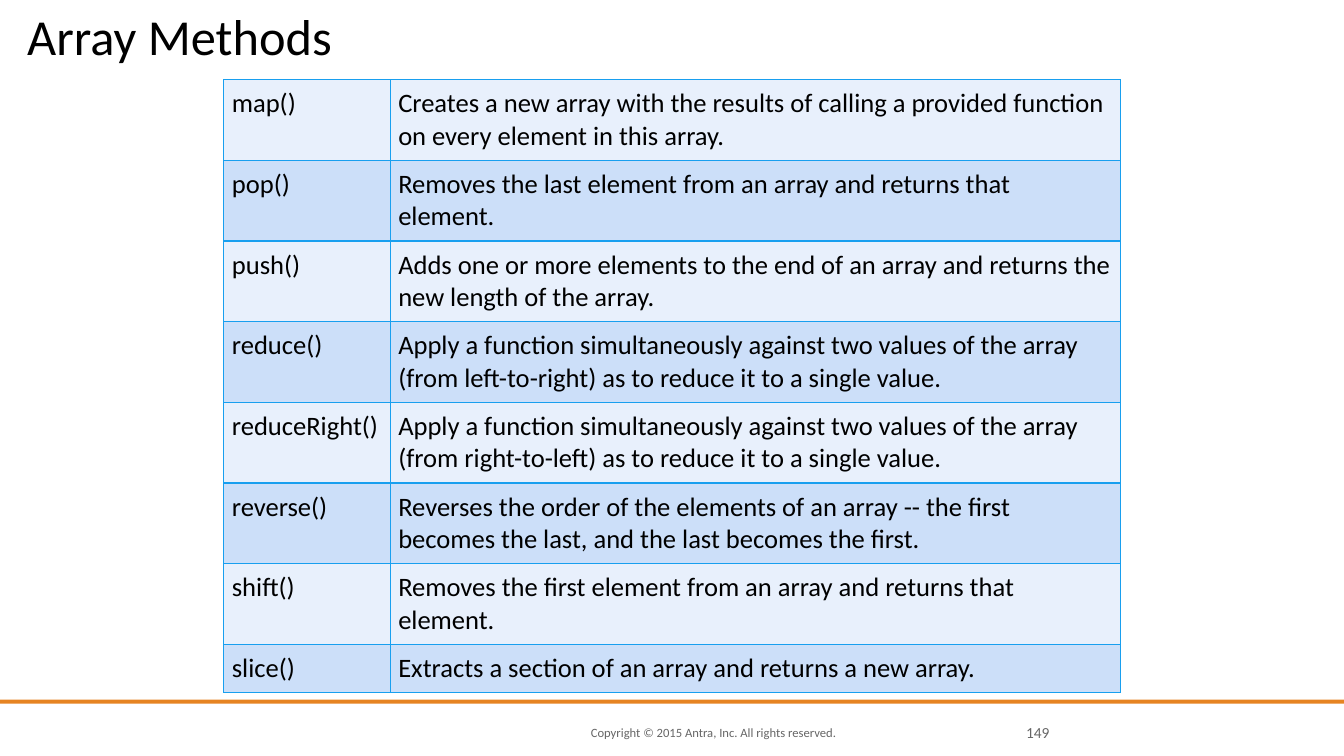
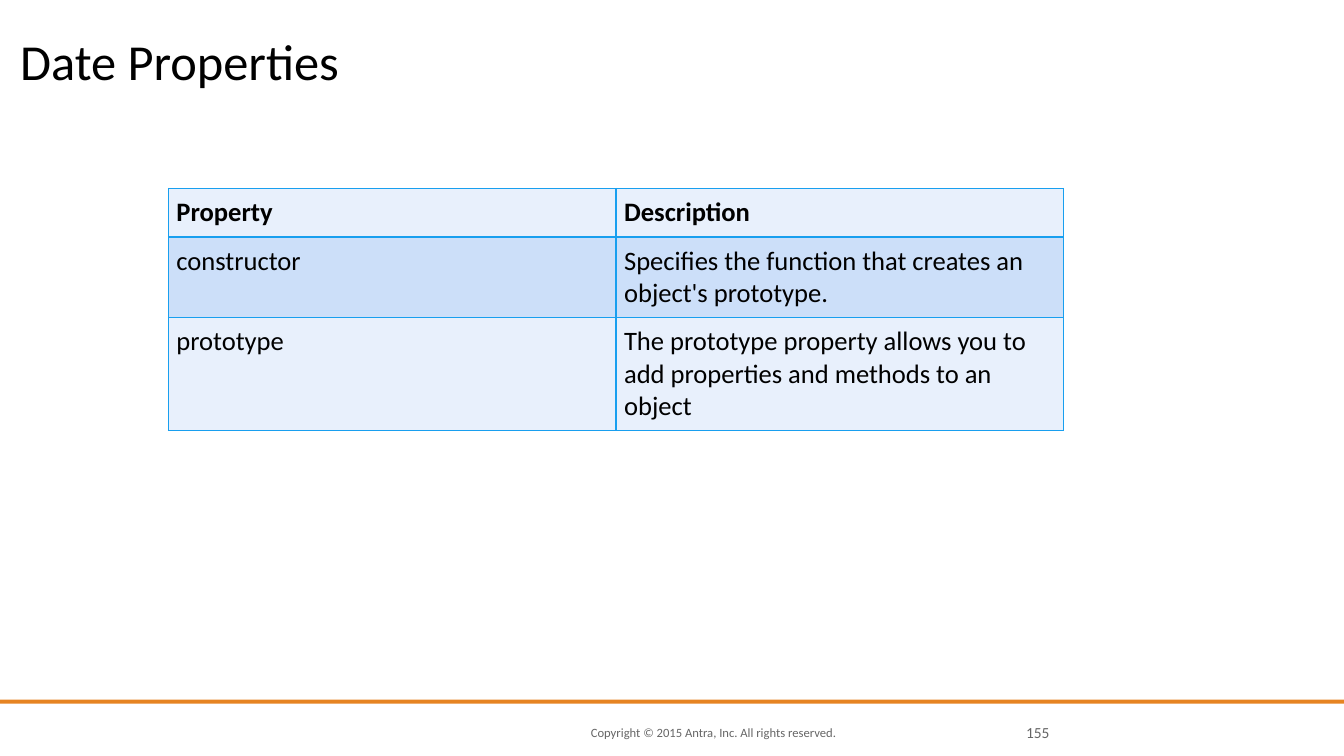
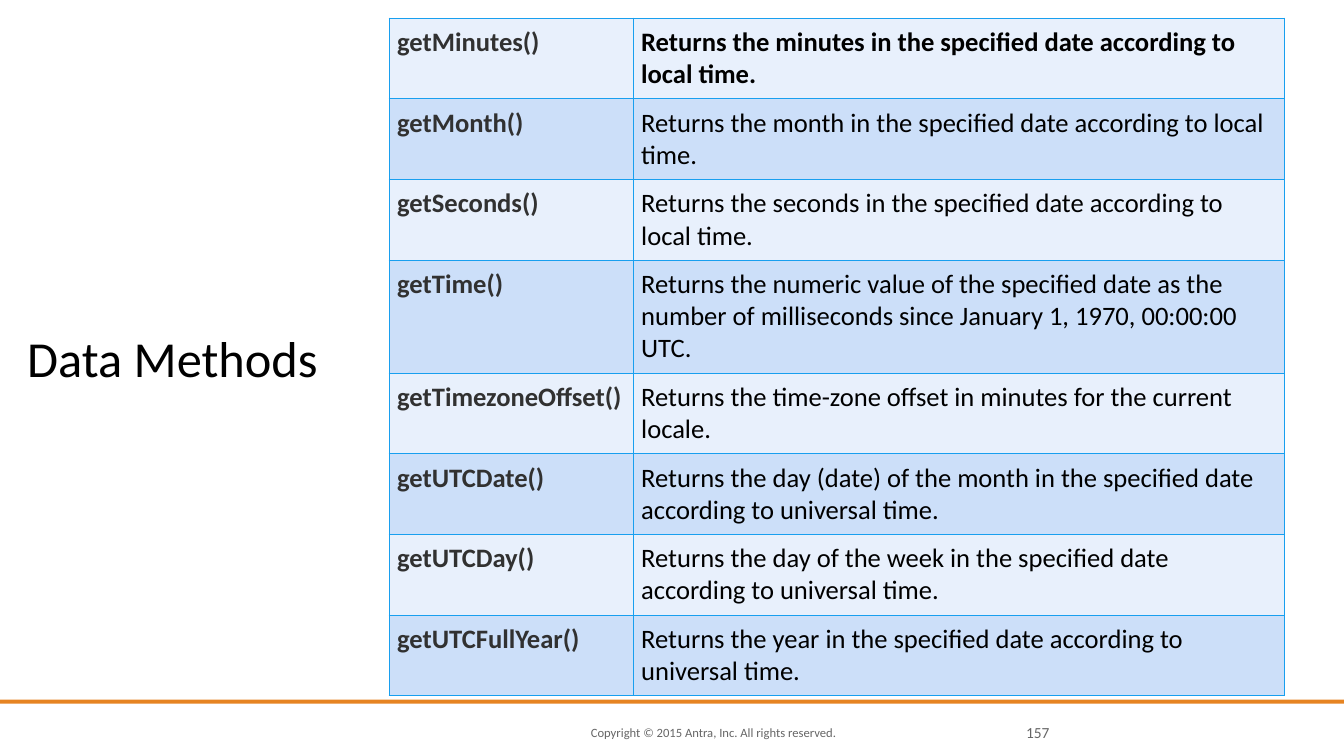
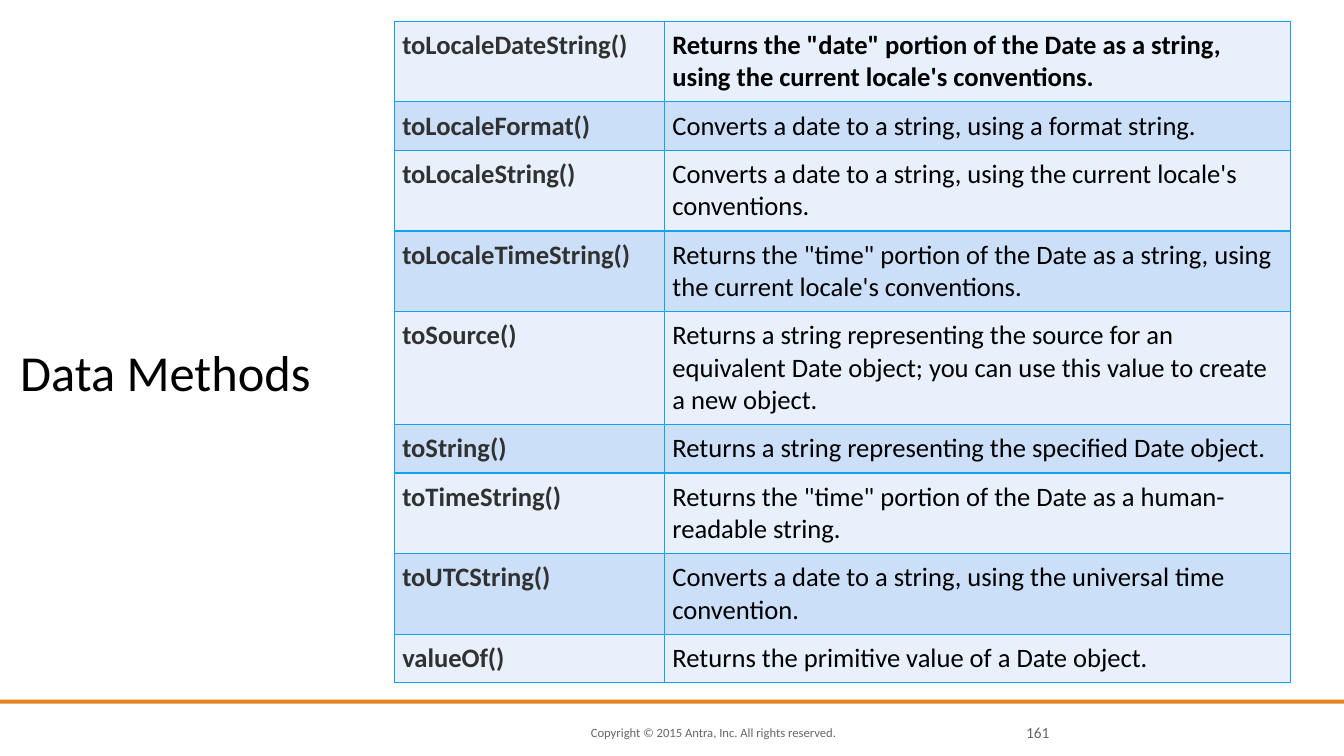
"""Build four JavaScript reference slides with method and property tables."""
from dataclasses import dataclass

from lxml.etree import SubElement
from pptx import Presentation
from pptx.dml.color import RGBColor
from pptx.enum.shapes import MSO_SHAPE
from pptx.enum.text import MSO_ANCHOR, MSO_AUTO_SIZE, PP_ALIGN
from pptx.oxml.ns import qn
from pptx.slide import Slide
from pptx.table import _Cell
from pptx.text.text import TextFrame
from pptx.util import Inches, Pt


@dataclass(frozen=True)
class Theme:
    """Colours, type sizes and measures shared by all slides."""
    font: str = "Calibri"
    text: str = "000000"
    label: str = "313131"
    muted: str = "666666"
    band: str = "E68422"
    border: str = "189FEF"
    row_fills: tuple[str, str] = ("E8F0FC", "CCDFF9")
    title_size: float = 36
    table_size: float = 19
    footer_size: float = 9
    number_size: float = 11
    cell_margin: float = 0.08
    row_height: float = 0.41


@dataclass(frozen=True)
class Box:
    """A rectangle in inches."""
    left: float
    top: float
    width: float
    height: float

    def lengths(self) -> tuple[Inches, Inches, Inches, Inches]:
        """Return the four lengths in the order shapes expect."""
        return (Inches(self.left), Inches(self.top),
                Inches(self.width), Inches(self.height))


@dataclass(frozen=True)
class TextStyle:
    """How one line of text looks."""
    size: float
    color: str
    bold: bool = False
    alignment: PP_ALIGN = PP_ALIGN.LEFT


@dataclass(frozen=True)
class ReferenceSlide:
    """One slide: a title and a two-column table."""
    title: str
    title_box: Box
    number: int
    left: float
    top: float
    columns: tuple[float, float]
    rows: tuple[tuple[str, str], ...]
    has_heading: bool = False
    strong_names: bool = False


THEME = Theme()
BAND_BOX = Box(0, 6.94, 13.36, 0.04)
COPYRIGHT_BOX = Box(5.86, 7.17, 3.05, 0.2)
NUMBER_BOX = Box(9.99, 7.17, 0.42, 0.2)
COPYRIGHT = "Copyright © 2015 Antra, Inc. All rights reserved."

SLIDES = (
    ReferenceSlide(
        "Array Methods", Box(0.27, 0.02, 12.17, 0.63), 149, 2.22, 0.79, (1.65, 7.24),
        (
            ("map()", "Creates a new array with the results of calling a provided "
                      "function on every element in this array."),
            ("pop()", "Removes the last element from an array and returns that element."),
            ("push()", "Adds one or more elements to the end of an array and returns "
                       "the new length of the array."),
            ("reduce()", "Apply a function simultaneously against two values of the "
                         "array (from left-to-right) as to reduce it to a single value."),
            ("reduceRight()", "Apply a function simultaneously against two values of the "
                              "array (from right-to-left) as to reduce it to a single value."),
            ("reverse()", "Reverses the order of the elements of an array -- the first "
                          "becomes the last, and the last becomes the first."),
            ("shift()", "Removes the first element from an array and returns that element."),
            ("slice()", "Extracts a section of an array and returns a new array."),
        ),
    ),
    ReferenceSlide(
        "Date Properties", Box(0.2, 0.23, 12.17, 0.67), 155, 1.67, 1.87, (4.44, 4.44),
        (
            ("Property", "Description"),
            ("constructor", "Specifies the function that creates an object's prototype."),
            ("prototype", "The prototype property allows you to add properties and "
                          "methods to an object"),
        ),
        has_heading=True,
    ),
    ReferenceSlide(
        "Data Methods", Box(0.27, 3.24, 12.17, 0.6), 157, 3.86, 0.18, (2.42, 6.46),
        (
            ("getMinutes()", "Returns the minutes in the specified date according to "
                             "local time."),
            ("getMonth()", "Returns the month in the specified date according to local time."),
            ("getSeconds()", "Returns the seconds in the specified date according to "
                             "local time."),
            ("getTime()", "Returns the numeric value of the specified date as the number "
                          "of milliseconds since January 1, 1970, 00:00:00 UTC."),
            ("getTimezoneOffset()", "Returns the time-zone offset in minutes for the "
                                    "current locale."),
            ("getUTCDate()", "Returns the day (date) of the month in the specified date "
                             "according to universal time."),
            ("getUTCDay()", "Returns the day of the week in the specified date according "
                            "to universal time."),
            ("getUTCFullYear()", "Returns the year in the specified date according to "
                                 "universal time."),
        ),
        strong_names=True,
    ),
    ReferenceSlide(
        "Data Methods", Box(0.2, 3.01, 12.17, 0.97), 161, 3.91, 0.21, (2.68, 6.21),
        (
            ("toLocaleDateString()", "Returns the \"date\" portion of the Date as a "
                                     "string, using the current locale's conventions."),
            ("toLocaleFormat()", "Converts a date to a string, using a format string."),
            ("toLocaleString()", "Converts a date to a string, using the current "
                                 "locale's conventions."),
            ("toLocaleTimeString()", "Returns the \"time\" portion of the Date as a "
                                     "string, using the current locale's conventions."),
            ("toSource()", "Returns a string representing the source for an equivalent "
                           "Date object; you can use this value to create a new object."),
            ("toString()", "Returns a string representing the specified Date object."),
            ("toTimeString()", "Returns the \"time\" portion of the Date as a "
                               "human-readable string."),
            ("toUTCString()", "Converts a date to a string, using the universal time "
                              "convention."),
            ("valueOf()", "Returns the primitive value of a Date object."),
        ),
        strong_names=True,
    ),
)


def write_text(frame: TextFrame, text: str, style: TextStyle) -> None:
    """Fill a text frame with one styled paragraph."""
    frame.text = text
    paragraph = frame.paragraphs[0]
    paragraph.alignment = style.alignment
    paragraph.font.name = THEME.font
    paragraph.font.size = Pt(style.size)
    paragraph.font.bold = style.bold
    paragraph.font.color.rgb = RGBColor.from_string(style.color)


def set_frame(frame: TextFrame, anchor: MSO_ANCHOR) -> None:
    """Remove the margins of a text frame and anchor its text."""
    frame.margin_left = frame.margin_top = frame.margin_right = frame.margin_bottom = 0
    frame.word_wrap = True
    frame.auto_size = MSO_AUTO_SIZE.NONE
    frame.vertical_anchor = anchor


def set_title(slide: Slide, text: str, box: Box) -> None:
    """Place and format the title placeholder."""
    title = slide.shapes.title
    title.left, title.top, title.width, title.height = box.lengths()
    set_frame(title.text_frame, MSO_ANCHOR.BOTTOM)
    write_text(title.text_frame, text, TextStyle(THEME.title_size, THEME.text))
    title.text_frame.paragraphs[0].line_spacing = 0.8


def add_label(slide: Slide, text: str, box: Box, style: TextStyle) -> None:
    """Add a small text box to the footer."""
    frame = slide.shapes.add_textbox(*box.lengths()).text_frame
    set_frame(frame, MSO_ANCHOR.MIDDLE)
    write_text(frame, text, style)


def add_footer(slide: Slide, number: int) -> None:
    """Draw the orange band, the copyright line and the slide number."""
    band = slide.shapes.add_shape(MSO_SHAPE.RECTANGLE, *BAND_BOX.lengths())
    band.shadow.inherit = False
    band.fill.solid()
    band.fill.fore_color.rgb = RGBColor.from_string(THEME.band)
    band.line.fill.background()
    add_label(slide, COPYRIGHT, COPYRIGHT_BOX, TextStyle(THEME.footer_size, THEME.muted))
    add_label(slide, str(number), NUMBER_BOX,
              TextStyle(THEME.number_size, THEME.muted, alignment=PP_ALIGN.RIGHT))


def format_cell(cell: _Cell, fill: str) -> None:
    """Set the margins, borders and fill of a table cell."""
    margin = Inches(THEME.cell_margin)
    cell.margin_left = cell.margin_top = cell.margin_right = cell.margin_bottom = margin
    properties = cell._tc.get_or_add_tcPr()
    for side in ("a:lnL", "a:lnR", "a:lnT", "a:lnB"):
        line = SubElement(properties, qn(side), w=str(Pt(1)))
        SubElement(SubElement(line, qn("a:solidFill")), qn("a:srgbClr"), val=THEME.border)
    cell.fill.solid()
    cell.fill.fore_color.rgb = RGBColor.from_string(fill)


def cell_style(content: ReferenceSlide, row: int, column: int) -> TextStyle:
    """Choose the text style for a table position."""
    is_name = column == 0
    is_heading = content.has_heading and row == 0
    strong_name = content.strong_names and is_name
    strong_row = row == 0 and (content.has_heading or content.strong_names)
    return TextStyle(
        THEME.table_size,
        THEME.label if strong_name else THEME.text,
        strong_name or strong_row,
        PP_ALIGN.JUSTIFY if is_name and not is_heading else PP_ALIGN.LEFT,
    )


def add_reference_table(slide: Slide, content: ReferenceSlide) -> None:
    """Add the two-column table with alternating row fills."""
    box = Box(content.left, content.top, sum(content.columns),
              THEME.row_height * len(content.rows))
    table = slide.shapes.add_table(len(content.rows), len(content.columns),
                                   *box.lengths()).table
    table.first_row = content.has_heading
    table.horz_banding = False
    for column, width in zip(table.columns, content.columns):
        column.width = Inches(width)
    for row, texts in enumerate(content.rows):
        for column, text in enumerate(texts):
            cell = table.cell(row, column)
            format_cell(cell, THEME.row_fills[row % 2])
            write_text(cell.text_frame, text, cell_style(content, row, column))


def main() -> None:
    """Build and save the presentation."""
    presentation = Presentation()
    presentation.slide_width = Inches(13.33)
    presentation.slide_height = Inches(7.5)
    title_only = presentation.slide_layouts.get_by_name("Title Only")
    for content in SLIDES:
        slide = presentation.slides.add_slide(title_only)
        set_title(slide, content.title, content.title_box)
        add_footer(slide, content.number)
        add_reference_table(slide, content)
    presentation.save("out.pptx")


if __name__ == "__main__":
    main()
